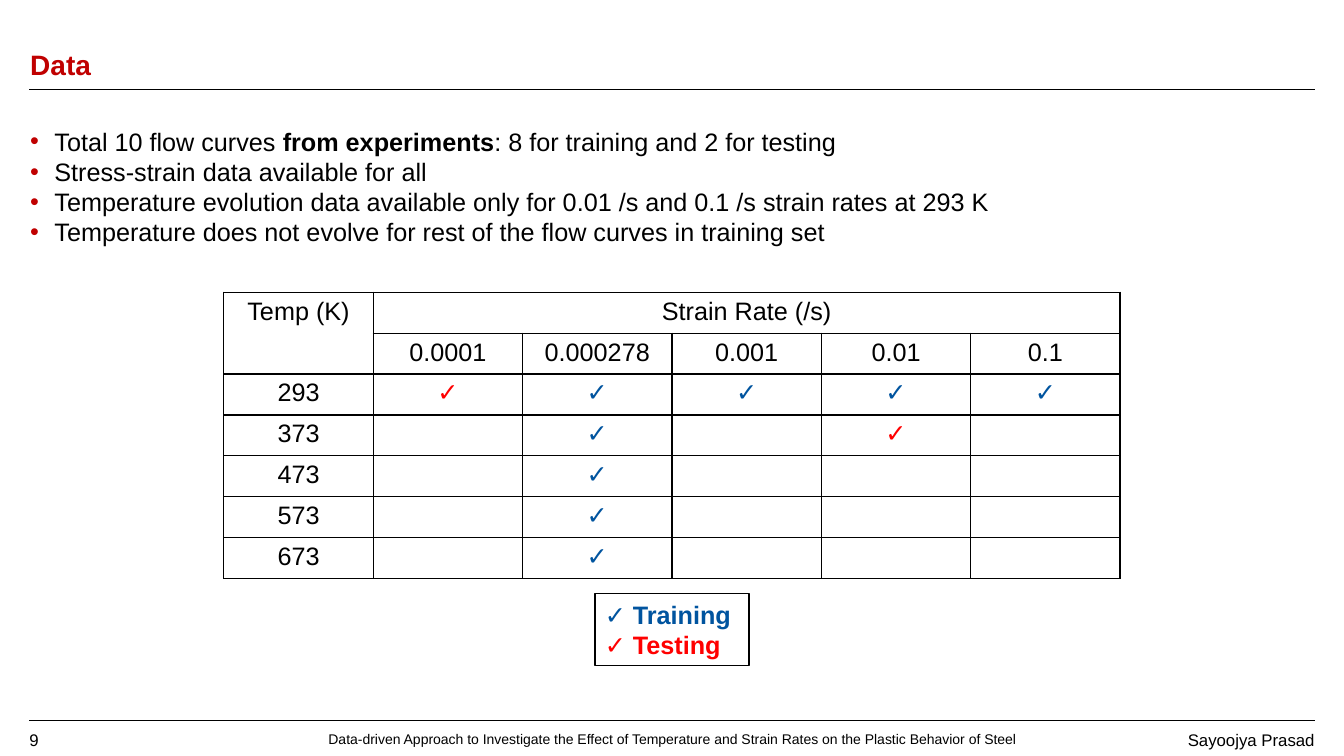
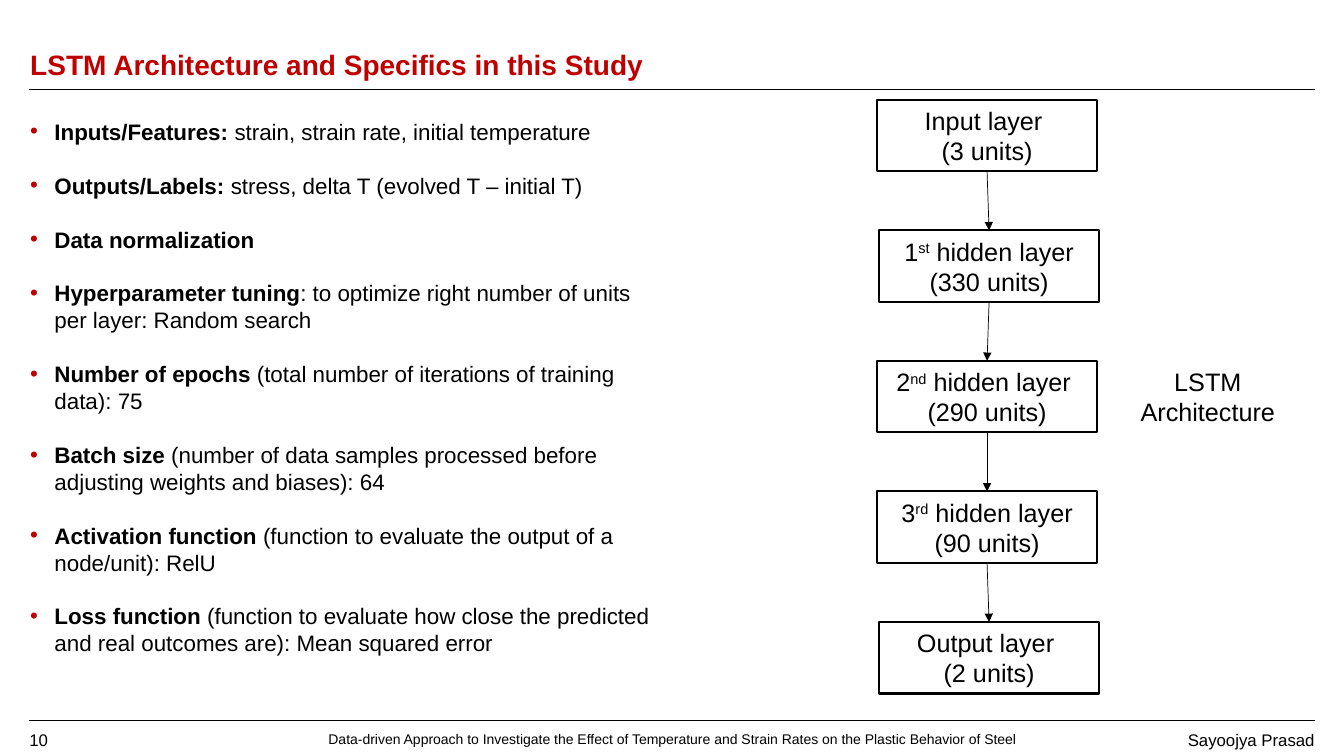
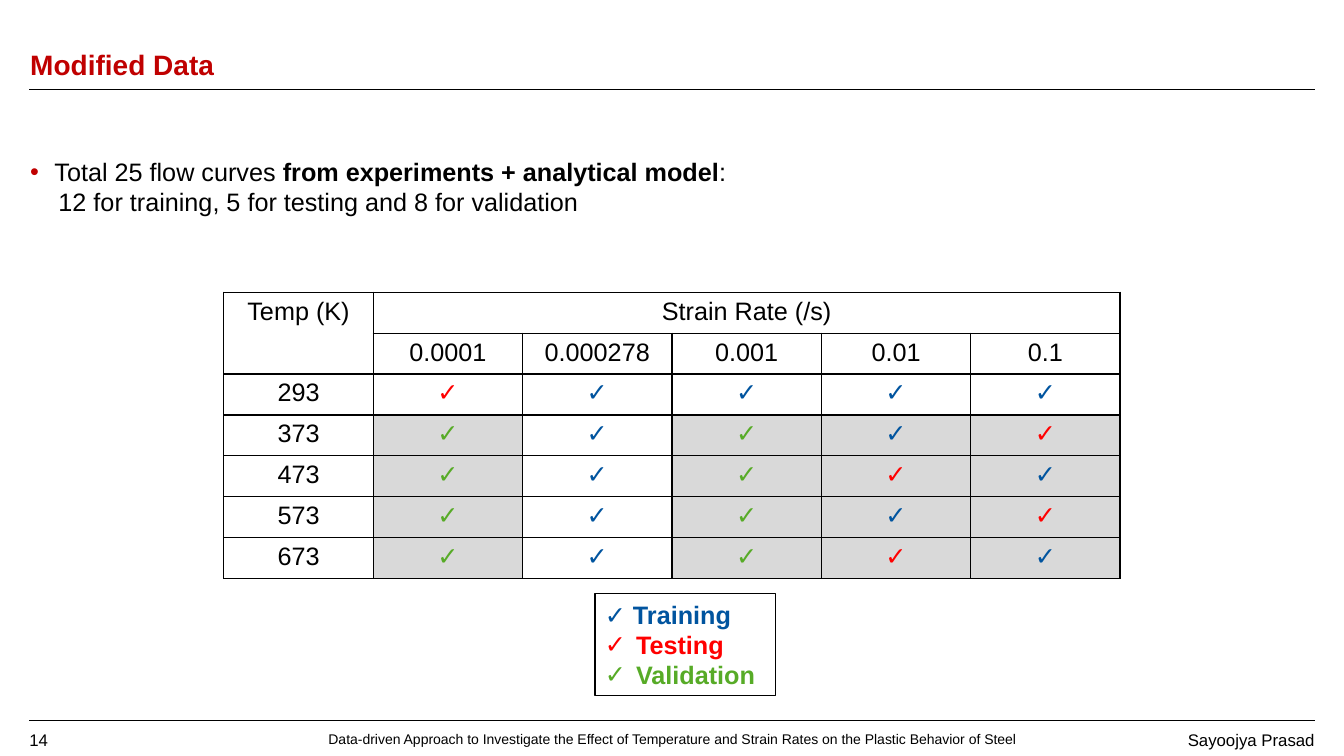
from lxml.etree import SubElement
from pptx import Presentation
from pptx.dml.color import RGBColor
from pptx.enum.shapes import MSO_CONNECTOR, MSO_SHAPE
from pptx.enum.text import MSO_ANCHOR, PP_ALIGN
from pptx.oxml.ns import qn
from pptx.util import Inches, Pt

FONT = "Arial"
BLACK, RED, GREY = "000000", "C00000", "D9D9D9"
MARKS = {"R": ("Training", "00549F"), "T": ("Testing", "FF0000"), "V": ("Validation", "57AB27")}
LEFT, RIGHT = 0.29, 13.04
FOOTER = ("Data-driven Approach to Investigate the Effect of Temperature and Strain Rates "
          "on the Plastic Behavior of Steel")
AUTHOR = "Sayoojya Prasad"
rgb = RGBColor.from_string


def add_para(tf, text, size=18, color=BLACK, bold=False, align=PP_ALIGN.LEFT,
             bullet=None, bullet_color=RED, indent=0.0, before=0, spacing=None):
    """Add a paragraph; **...** toggles bold and ^...^ makes a superscript."""
    first = not tf.paragraphs[0].runs
    p = tf.paragraphs[0] if first else tf.add_paragraph()
    pPr = p._p.get_or_add_pPr()
    if indent:
        pPr.set("marL", str(Inches(indent)))
    if bullet:
        pPr.set("indent", str(-Inches(indent)))
        SubElement(SubElement(pPr, qn("a:buClr")), qn("a:srgbClr"), val=bullet_color)
        SubElement(pPr, qn("a:buFont"), typeface=FONT)
        SubElement(pPr, qn("a:buChar"), char=bullet)
    p.alignment = align
    if spacing:
        p.line_spacing = spacing
    if before and not first:
        p.space_before = Pt(before)
    for i, part in enumerate(text.split("**")):
        for j, piece in enumerate(part.split("^")):
            if not piece:
                continue
            r = p.add_run()
            r.text = piece
            r.font.name, r.font.size = FONT, Pt(size)
            r.font.bold = bold or i % 2 == 1
            r.font.color.rgb = rgb(color)
            if j % 2:
                r._r.get_or_add_rPr().set("baseline", "30000")


def add_box(s, x, y, w, h, border=0, margins=False, anchor=MSO_ANCHOR.TOP):
    """Add a text box, or an unfilled rectangle if a border width is given."""
    at = [Inches(v) for v in (x, y, w, h)]
    if border:
        sp = s.shapes.add_shape(MSO_SHAPE.RECTANGLE, *at)
        sp.shadow.inherit = False
        sp.fill.background()
        sp.line.color.rgb = rgb(BLACK)
        sp.line.width = Pt(border)
    else:
        sp = s.shapes.add_textbox(*at)
    tf = sp.text_frame
    tf.word_wrap = True
    tf.vertical_anchor = anchor
    if not margins:
        tf.margin_left = tf.margin_top = tf.margin_right = tf.margin_bottom = 0
    return sp


prs = Presentation()
prs.slide_width, prs.slide_height = Inches(13.33), Inches(7.5)
rules, arrows = [], []

# Title, rules, footer and bullet list of every slide
pages = [
    ("9", "Data", (1.25, 9.56, 1.38), 18, 0, [
        "Total 10 flow curves **from experiments**: 8 for training and 2 for testing",
        "Stress-strain data available for all",
        "Temperature evolution data available only for 0.01 /s and 0.1 /s strain rates at 293 K",
        "Temperature does not evolve for rest of the flow curves in training set",
    ]),
    ("10", "LSTM Architecture and Specifics in this Study", (1.17, 6.21, 5.97), 16, 19.3, [
        "**Inputs/Features: **strain, strain rate, initial temperature",
        "**Outputs/Labels: **stress, delta T (evolved T – initial T)",
        "**Data normalization**",
        "**Hyperparameter tuning**: to optimize right number of units per layer: Random search",
        "**Number of epochs **(total number of iterations of training data): 75",
        "**Batch size **(number of data samples processed before adjusting weights and biases): 64",
        "**Activation function **(function to evaluate the output of a node/unit): RelU",
        "**Loss function **(function to evaluate how close the predicted and real outcomes are): "
        "Mean squared error",
    ]),
    ("14", "Modified Data", (1.55, 10.25, 1.28), 18, 0, [
        "Total 25 flow curves **from experiments + analytical model**:",
    ]),
]
slides, bodies = [], []
for number, title, (top, width, height), size, gap, bullets in pages:
    s = prs.slides.add_slide(prs.slide_layouts[6])
    slides.append(s)
    for y in (0.89, 7.15):
        rules.append(s.shapes.add_connector(
            MSO_CONNECTOR.STRAIGHT, Inches(LEFT), Inches(y), Inches(RIGHT), Inches(y)))
    add_para(add_box(s, LEFT, 7.24, 0.92, 0.28).text_frame, number, size=12)
    sp = add_box(s, 0.42, 7.18, 12.49, 0.31, anchor=MSO_ANCHOR.MIDDLE)
    add_para(sp.text_frame, FOOTER, size=10, align=PP_ALIGN.CENTER)
    sp = add_box(s, 11.34, 7.18, 1.7, 0.31, anchor=MSO_ANCHOR.MIDDLE)
    add_para(sp.text_frame, AUTHOR, size=12, align=PP_ALIGN.RIGHT)
    sp = add_box(s, 0.3, 0.22, 9.99, 0.59, anchor=MSO_ANCHOR.BOTTOM)
    add_para(sp.text_frame, title, size=20, color=RED, bold=True, spacing=0.9)
    body = add_box(s, 0.3, top, width, height).text_frame
    bodies.append(body)
    for text in bullets:
        add_para(body, text, size=size, bullet="•", indent=0.24, before=gap)

data_slide, lstm_slide, modified_slide = slides
add_para(bodies[2], "12 for training, 5 for testing and 8 for validation", indent=0.28)

# Tables of flow curves with their legends
strain_rates = ["0.0001", "0.000278", "0.001", "0.01", "0.1"]
temperatures = ["293", "373", "473", "573", "673"]
measured = ["TRRRR", "-R-T-", "-R---", "-R---", "-R---"]
modified = ["TRRRR", "VRVRT", "VRVTR", "VRVRT", "VRVTR"]
for s, curves, legend, legend_size in [(data_slide, measured, "RT", (1.53, 0.71)),
                                       (modified_slide, modified, "RTV", (1.79, 1.01))]:
    table = s.shapes.add_table(7, 6, Inches(2.22), Inches(2.9), Inches(8.89), Inches(2.84)).table
    table.first_row = table.horz_banding = False
    for cell in table.iter_cells():
        tcPr = cell._tc.get_or_add_tcPr()
        for side in ("a:lnL", "a:lnR", "a:lnT", "a:lnB"):
            ln = SubElement(tcPr, qn(side), w=str(Pt(1)))
            SubElement(SubElement(ln, qn("a:solidFill")), qn("a:srgbClr"), val=BLACK)
        cell.fill.background()
    table.cell(0, 0).merge(table.cell(1, 0))
    table.cell(0, 1).merge(table.cell(0, 5))
    labels = [(0, 0, "Temp (K)"), (0, 1, "Strain Rate (/s)")]
    labels += [(1, col, rate) for col, rate in enumerate(strain_rates, 1)]
    labels += [(row, 0, temp) for row, temp in enumerate(temperatures, 2)]
    for row, col, text in labels:
        add_para(table.cell(row, col).text_frame, text, align=PP_ALIGN.CENTER)
    for row, marks in enumerate(curves, 2):
        for col, mark in enumerate(marks, 1):
            cell = table.cell(row, col)
            if mark in MARKS:
                add_para(cell.text_frame, "✓", color=MARKS[mark][1], bold=True,
                         align=PP_ALIGN.CENTER)
            if s is modified_slide and row > 2 and col != 2:
                cell.fill.solid()
                cell.fill.fore_color.rgb = rgb(GREY)

    sp = add_box(s, 5.9, 5.89, *legend_size, border=1, margins=True, anchor=MSO_ANCHOR.MIDDLE)
    for mark in legend:
        name, color = MARKS[mark]
        if s is modified_slide and mark != "R":
            add_para(sp.text_frame, name, color=color, bold=True,
                     bullet="✓", bullet_color=color, indent=0.31)
        else:
            add_para(sp.text_frame, f"✓ {name}", color=color, bold=True)

# Layer stack of the network
layers = [
    (8.7, "Input layer ", 3),
    (8.72, "1^st^ hidden layer", 330),
    (8.7, "2^nd^ hidden layer ", 290),
    (8.7, "3^rd^ hidden layer", 90),
    (8.72, "Output layer ", 2),
]
boxes = []
for i, (x, name, units) in enumerate(layers):
    sp = add_box(lstm_slide, x, 0.99 + i * 1.295, 2.18, 0.71, border=1.5, margins=True,
                 anchor=MSO_ANCHOR.MIDDLE)
    for text in (name, f"({units} units)"):
        add_para(sp.text_frame, text, align=PP_ALIGN.CENTER)
    boxes.append(sp)
for upper, lower in zip(boxes, boxes[1:]):
    arrow = lstm_slide.shapes.add_connector(MSO_CONNECTOR.STRAIGHT, 0, 0, 0, 0)
    arrow.begin_connect(upper, 2)
    arrow.end_connect(lower, 0)
    arrows.append(arrow)
sp = add_box(lstm_slide, 11.18, 3.58, 1.6, 0.71, margins=True)
for text in ("LSTM", "Architecture"):
    add_para(sp.text_frame, text, align=PP_ALIGN.CENTER)

# Line style of rules and arrows
for line in rules + arrows:
    line.line.color.rgb = rgb(BLACK)
    line.line.width = Pt(0.5)
    SubElement(line._element.spPr, qn("a:effectLst"))
for arrow in arrows:
    SubElement(arrow._element.spPr.find(qn("a:ln")), qn("a:tailEnd"), type="triangle")

prs.save("out.pptx")
